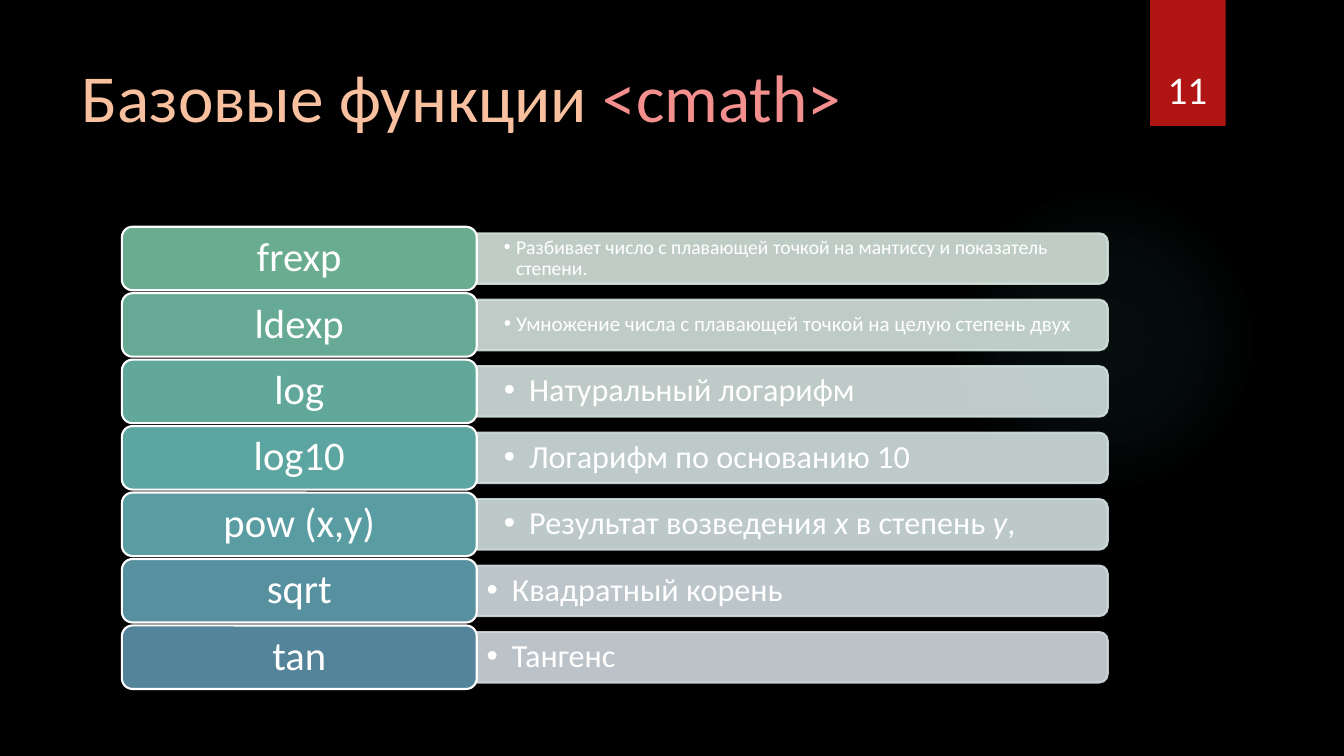
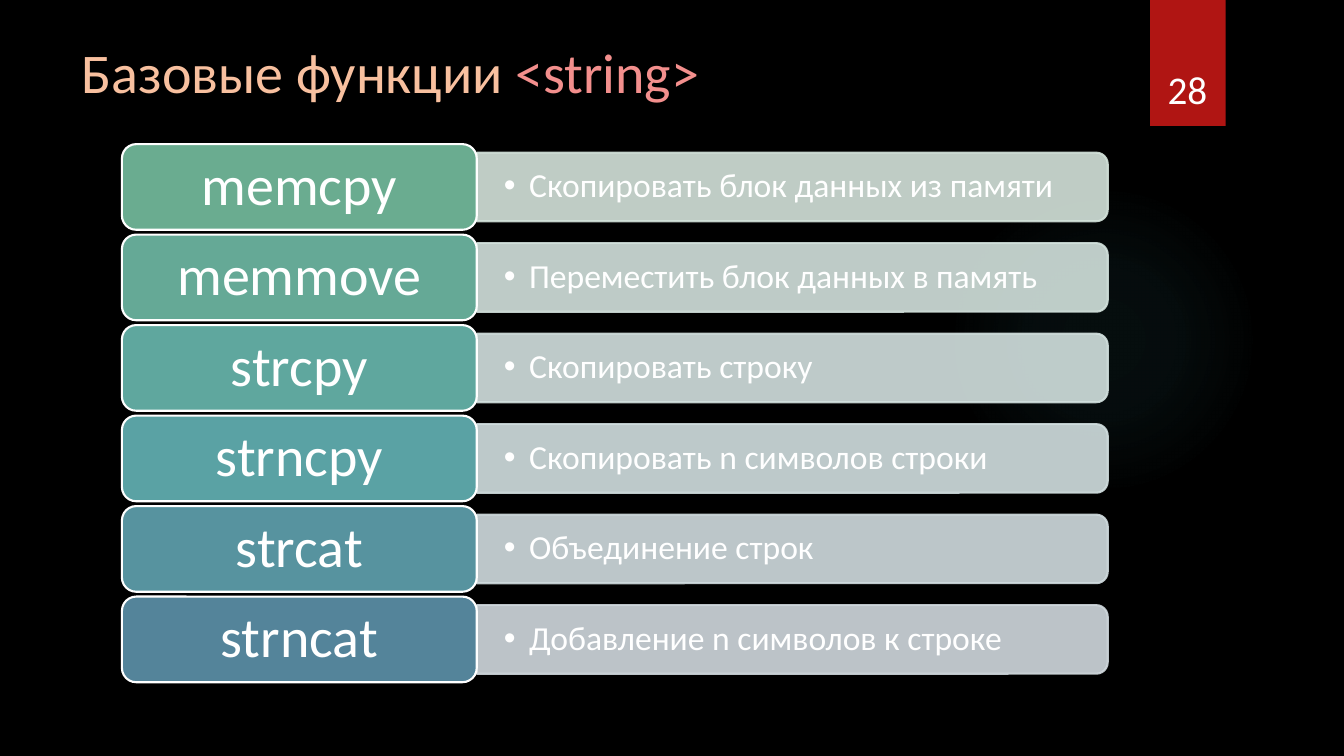
from dataclasses import dataclass
from typing import NamedTuple

from pptx import Presentation
from pptx.dml.color import RGBColor
from pptx.enum.shapes import MSO_SHAPE
from pptx.enum.text import MSO_ANCHOR, MSO_AUTO_SIZE, PP_ALIGN
from pptx.oxml import parse_xml
from pptx.oxml.ns import nsdecls, qn
from pptx.util import Inches, Pt

# Shared look
WIDTH, HEIGHT = Inches(40 / 3), Inches(7.5)
FONT = "Calibri"
BLACK, WHITE, RED = "000000", "FFFFFF", "B01513"
PEACH, PINK, GLOW = "F8C09F", "F38F8D", "50B9C1"
GLOW_STOPS = ((0, 7), (36, 6), (69, 0))  # position and opacity, percent

# Columns, in percent of the slide's width
KEY_LEFT, KEY_WIDTH = 9.07, 26.4
BAR_LEFT, BAR_WIDTH = KEY_LEFT + KEY_WIDTH, 46.95


class Box(NamedTuple):
    """Place and size in percent of the slide."""
    left: float
    top: float
    width: float
    height: float

    def lengths(self) -> tuple[int, int, int, int]:
        return (round(self.left * WIDTH / 100), round(self.top * HEIGHT / 100),
                round(self.width * WIDTH / 100), round(self.height * HEIGHT / 100))


class Run(NamedTuple):
    text: str
    color: str = WHITE
    italic: bool = False


@dataclass(frozen=True)
class Row:
    name: str
    description: tuple[Run, ...]
    key_color: str
    bar_color: str
    size: float
    indent: float = 0.25
    inset: float = 0.27


@dataclass(frozen=True)
class FunctionSlide:
    header: str
    number: str
    title_box: Box
    title_size: float
    name_size: float
    first_top: float
    pitch: float
    key_height: float
    bar_height: float
    rows: tuple[Row, ...]


def rgb(color: str) -> RGBColor:
    return RGBColor.from_string(color)


def write_text(frame, runs, *, size, align=PP_ALIGN.LEFT, anchor=MSO_ANCHOR.MIDDLE,
               inset=0.1, vertical_inset=0.0, spacing=1.0, indent=0.0) -> None:
    """Fill a frame with one paragraph; an indent gives it a bullet."""
    frame.word_wrap = True
    frame.auto_size = MSO_AUTO_SIZE.NONE
    frame.vertical_anchor = anchor
    frame.margin_left = frame.margin_right = Inches(inset)
    frame.margin_top = frame.margin_bottom = Inches(vertical_inset)
    paragraph = frame.paragraphs[0]
    paragraph.alignment = align
    paragraph.line_spacing = spacing
    for text, color, italic in runs:
        run = paragraph.add_run()
        run.text = text
        run.font.name = FONT
        run.font.size = Pt(size)
        run.font.italic = italic
        run.font.color.rgb = rgb(color)
    if indent:
        properties = paragraph._p.get_or_add_pPr()
        properties.set("marL", str(Inches(indent)))
        properties.set("indent", str(-Inches(indent)))
        properties.append(parse_xml(f'<a:buFont {nsdecls("a")} typeface="Arial"/>'))
        properties.append(parse_xml(f'<a:buChar {nsdecls("a")} char="•"/>'))


def add_shape(slide, kind, lengths, fill, line=None):
    shape = slide.shapes.add_shape(kind, *lengths)
    shape.shadow.inherit = False
    shape.fill.solid()
    shape.fill.fore_color.rgb = rgb(fill)
    if line:
        shape.line.color.rgb = rgb(line)
        shape.line.width = Pt(1.5)
    else:
        shape.line.fill.background()
    return shape


def add_glow(slide) -> None:
    shape = add_shape(slide, MSO_SHAPE.OVAL, Box(70.57, 24.4, 23.1, 41.07).lengths(), GLOW)
    stops = "".join(
        f'<a:gs pos="{position * 1000}"><a:srgbClr val="{GLOW}">'
        f'<a:alpha val="{opacity * 1000}"/></a:srgbClr></a:gs>'
        for position, opacity in GLOW_STOPS)
    gradient = parse_xml(
        f'<a:gradFill {nsdecls("a")} rotWithShape="1"><a:gsLst>{stops}</a:gsLst>'
        '<a:path path="circle"><a:fillToRect l="50000" t="50000" r="50000" b="50000"/>'
        '</a:path></a:gradFill>')
    properties = shape._element.spPr
    properties.replace(properties.find(qn("a:solidFill")), gradient)


def add_bar(slide, box: Box, color: str) -> None:
    """Draw a bar whose right corners are round: an upright shape turned by 90 degrees."""
    left, top, width, height = box.lengths()
    shift = (width - height) // 2
    bar = add_shape(slide, MSO_SHAPE.ROUND_2_SAME_RECTANGLE,
                    (left + shift, top - shift, height, width), color, color)
    bar.rotation = 90
    for element in bar._element.spPr.iter(qn("a:srgbClr")):
        element.append(parse_xml(f'<a:alpha {nsdecls("a")} val="90000"/>'))


def add_row(slide, content: FunctionSlide, index: int, row: Row) -> None:
    top = content.first_top + index * content.pitch
    bar_top = top + (content.key_height - content.bar_height) / 2
    bar_box = Box(BAR_LEFT, bar_top, BAR_WIDTH, content.bar_height)
    add_bar(slide, bar_box, row.bar_color)
    description = slide.shapes.add_textbox(*bar_box.lengths())
    write_text(description.text_frame, row.description, size=row.size,
               inset=row.inset, spacing=0.9, indent=row.indent)
    key = add_shape(slide, MSO_SHAPE.ROUNDED_RECTANGLE,
                    Box(KEY_LEFT, top, KEY_WIDTH, content.key_height).lengths(),
                    row.key_color, WHITE)
    write_text(key.text_frame, [Run(row.name)], size=content.name_size,
               align=PP_ALIGN.CENTER, spacing=0.9)


def add_function_slide(presentation, content: FunctionSlide) -> None:
    slide = presentation.slides.add_slide(presentation.slide_layouts[5])
    slide.background.fill.solid()
    slide.background.fill.fore_color.rgb = rgb(BLACK)

    # Title
    title = slide.shapes.title
    title.left, title.top, title.width, title.height = content.title_box.lengths()
    write_text(title.text_frame,
               [Run("Базовые функции ", PEACH), Run(content.header, PINK)],
               size=content.title_size, anchor=MSO_ANCHOR.TOP, vertical_inset=0.05)

    # Glow and bookmark
    add_glow(slide)
    add_shape(slide, MSO_SHAPE.RECTANGLE, Box(85.57, 0, 5.63, 16.67).lengths(), RED)

    # Function list
    for index, row in enumerate(content.rows):
        add_row(slide, content, index, row)

    # Slide number
    number = slide.shapes.add_textbox(*Box(84.9, 4.27, 6.9, 11.2).lengths())
    write_text(number.text_frame, [Run(content.number)], size=28,
               align=PP_ALIGN.CENTER, anchor=MSO_ANCHOR.BOTTOM, vertical_inset=0.05)


MATH = FunctionSlide(
    "<cmath>", "11", Box(5.33, 6.67, 77.18, 20.4), title_size=48, name_size=29,
    first_top=30, pitch=8.79, key_height=8.4, bar_height=6.67,
    rows=(
        Row("frexp", (Run("Разбивает число с плавающей точкой на мантиссу и показатель степени."),),
            "6AAC90", "D4E3DB", 14, indent=0.12),
        Row("ldexp", (Run("Умножение числа с плавающей точкой на целую степень двух"),),
            "66AA95", "D3E2DD", 15, indent=0.12),
        Row("log", (Run("Натуральный логарифм"),), "61A89B", "D3E1DE", 23),
        Row("log10", (Run("Логарифм по основанию 10"),), "5DA5A1", "D2E0DF", 23),
        Row("pow (x,y)", (Run("Результат возведения "), Run("x", italic=True),
                          Run(" в степень "), Run("y", italic=True), Run(",")),
            "599DA2", "D2DEDF", 23),
        Row("sqrt", (Run("Квадратный корень"),), "57909E", "D1DBDF", 23, inset=0.1),
        Row("tan", (Run("Тангенс"),), "54849A", "D1D9DE", 23, inset=0.1),
    ))

STRING = FunctionSlide(
    "<string>", "28", Box(5.33, 4.27, 77.18, 11.2), title_size=40, name_size=40,
    first_top=19.07, pitch=11.97, key_height=11.33, bar_height=9.07,
    rows=(
        Row("memcpy", (Run("Скопировать блок данных из памяти"),), "6AAC90", "D4E3DB", 24),
        Row("memmove", (Run("Переместить блок данных в память"),), "65A996", "D3E2DD", 24),
        Row("strcpy", (Run("Скопировать строку"),), "5FA79E", "D3E1DF", 24),
        Row("strncpy", (Run("Скопировать n символов строки"),), "5AA2A4", "D2DFE0", 24),
        Row("strcat", (Run("Объединение строк"),), "57939F", "D1DCDF", 24),
        Row("strncat", (Run("Добавление n символов к строке"),), "54849A", "D1D9DE", 24),
    ))


def main() -> None:
    presentation = Presentation()
    presentation.slide_width, presentation.slide_height = WIDTH, HEIGHT
    for content in (MATH, STRING):
        add_function_slide(presentation, content)
    presentation.save("out.pptx")


if __name__ == "__main__":
    main()
